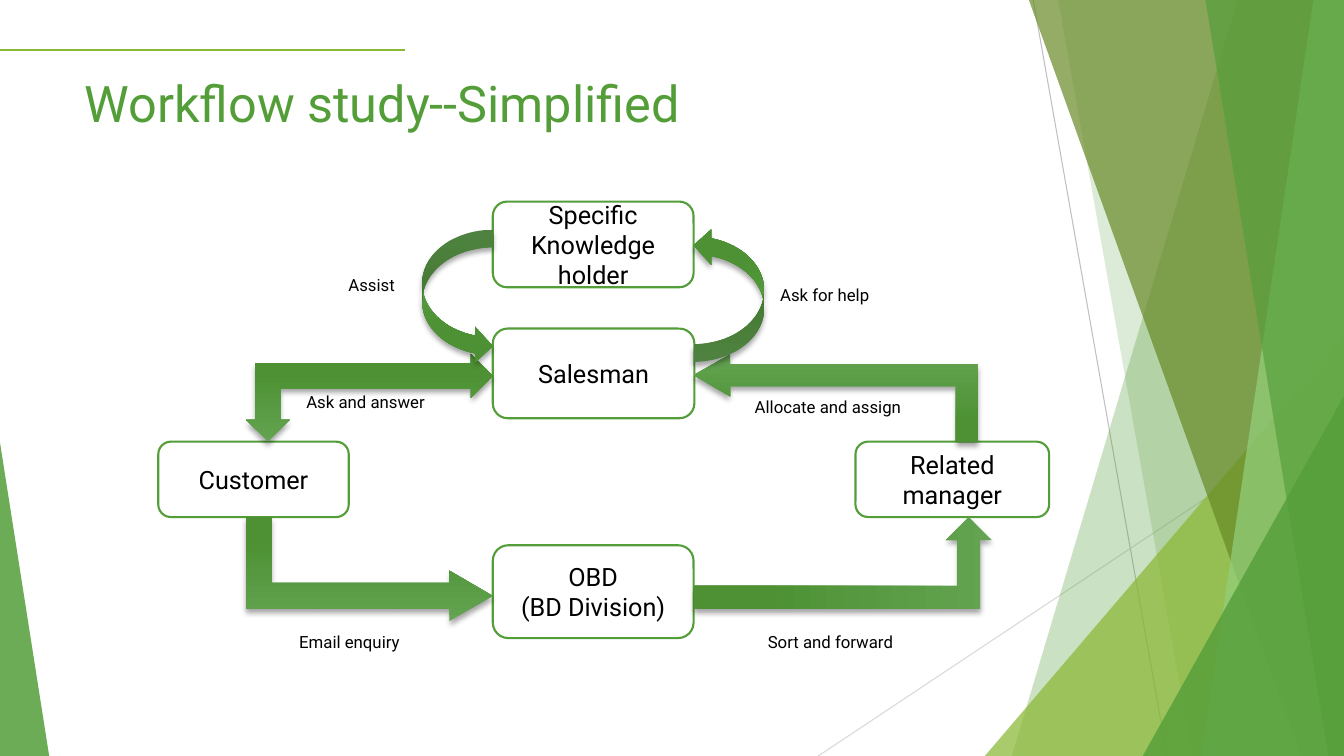
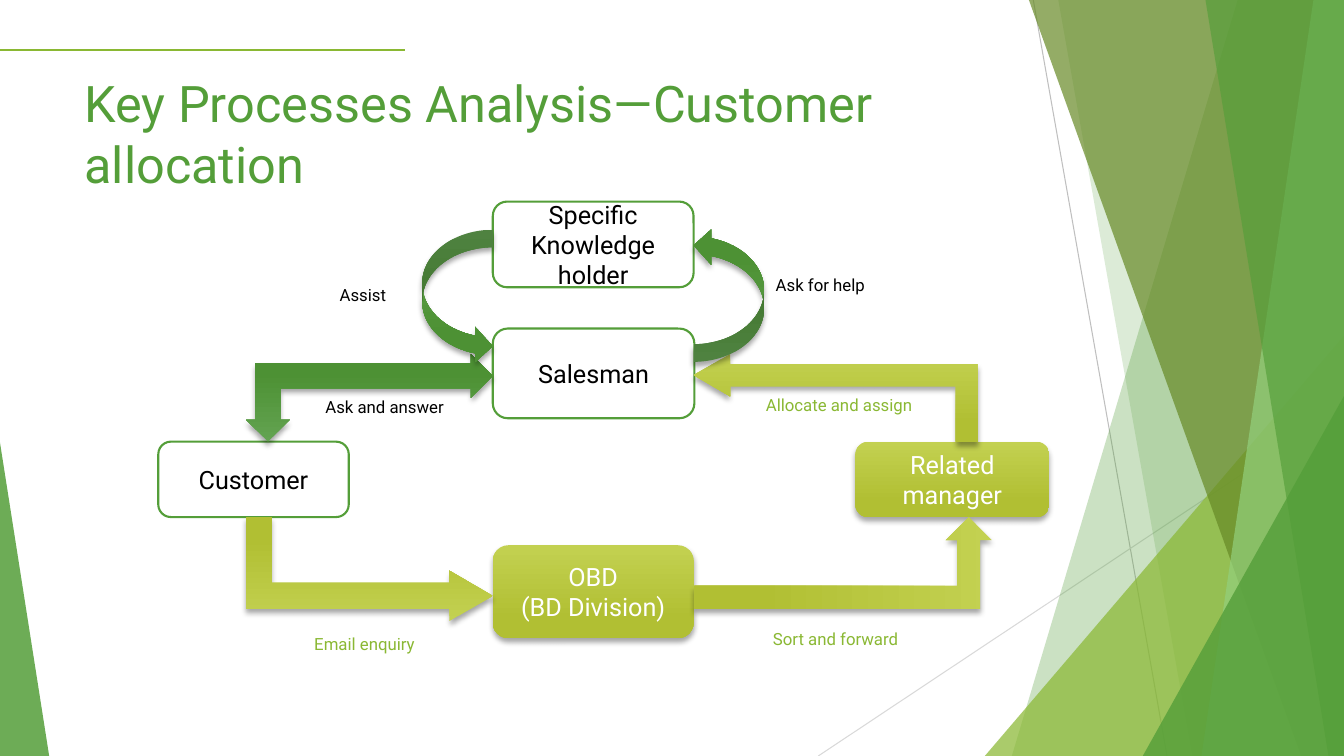
from dataclasses import dataclass

from lxml.etree import SubElement
from pptx import Presentation
from pptx.dml.color import RGBColor
from pptx.enum.shapes import MSO_CONNECTOR as Connector, MSO_SHAPE as Preset
from pptx.enum.text import MSO_ANCHOR as Anchor, MSO_AUTO_SIZE as AutoSize, PP_ALIGN as Align
from pptx.oxml.ns import qn
from pptx.util import Cm, Pt


@dataclass(frozen=True)
class Theme:
    font: str = "Roboto"
    title_size: int = 36
    box_size: int = 18
    label_size: int = 12
    green: str = "549E39"
    lime: str = "8AB833"
    olive: str = "678A26"
    mint: str = "93D07D"
    white: str = "FFFFFF"
    black: str = "000000"
    dark_hairline: str = "BFBFBF"
    light_hairline: str = "D9D9D9"
    green_blend: tuple = ("63A351", "4D9134")
    lime_blend: tuple = ("C3D151", "B1BF33")


THEME = Theme()
WIDTH, HEIGHT = 33.87, 19.05  # slide size in cm

# Flowchart content: lengths in cm; the last field marks the allocation path
BOXES = [
    ("Customer", (3.99, 11.13, 4.8, 1.9), False),
    ("Salesman", (12.42, 8.28, 5.08, 2.26), False),
    ("Related manager", (21.56, 11.13, 4.88, 1.9), True),
    ("OBD\n(BD Division)", (12.42, 13.74, 5.06, 2.34), True),
    ("Specific Knowledge holder", (12.42, 5.08, 5.06, 2.16), False),
]
LONG_HEAD = (0.25, 0.242, 0.417, 0)
SHORT_HEAD = (0.25, 0.25, 0.25, 0)
ARROWS = [  # preset, bounds, adjustments, flips, rotation, on allocation path
    (Preset.BENT_ARROW, (6.2, 13.03, 6.22, 2.62), LONG_HEAD, "V", 0, True),
    (Preset.BENT_ARROW, (17.48, 8.92, 7.16, 2.21), LONG_HEAD, "H", 0, True),
    (Preset.BENT_ARROW, (20.09, 10.44, 2.31, 7.49), SHORT_HEAD, "H", 90, True),
    (Preset.LEFT_UP_ARROW, (6.2, 8.92, 6.22, 2.21), (0.288, 0.25, 0.25), "HV", 0, False),
    (Preset.CURVED_LEFT_ARROW, (10.64, 5.79, 1.78, 3.38), (), "H", 0, False),
    (Preset.CURVED_LEFT_ARROW, (17.48, 5.74, 1.78, 3.38), (), "V", 0, False),
]
LABELS = [
    ("Email enquiry", True),
    ("Sort and forward", True),
    ("Allocate and assign", True),
    ("Ask and answer", False),
    ("Ask for help", False),
    ("Assist", False),
]
# Title, label positions in the order of LABELS, highlight the allocation path
SLIDES = [
    ("Workflow study--Simplified",
     [(7.29, 15.8), (19.1, 15.8), (18.77, 9.86), (7.47, 9.75), (19.41, 7.04), (8.53, 6.81)],
     False),
    ("Key Processes Analysis—Customer allocation",
     [(7.67, 15.85), (19.23, 15.72), (19.05, 9.83), (7.95, 9.86), (19.3, 6.81), (8.31, 7.04)],
     True),
]


def rgb(color):
    return RGBColor.from_string(color)


def cms(values):
    return [Cm(value) for value in values]


# Fills and effects
def fill_translucent(shape, color, percent):
    shape.shadow.inherit = False
    shape.line.fill.background()
    shape.fill.solid()
    shape.fill.fore_color.rgb = rgb(color)
    tint = shape.element.spPr.find(qn("a:solidFill")).find(qn("a:srgbClr"))
    SubElement(tint, qn("a:alpha"), val=str(percent * 1000))


def fill_raised(shape, blend):
    """Vertical gradient with a soft shadow below and no outline."""
    shape.line.fill.background()
    shape.fill.gradient()
    shape.fill.gradient_angle = 270
    for stop, color, position in zip(shape.fill.gradient_stops, blend, (0, 0.78)):
        stop.color.rgb = rgb(color)
        stop.position = position
    shape.shadow.inherit = False
    effects = shape.element.spPr.find(qn("a:effectLst"))
    shadow = SubElement(effects, qn("a:outerShdw"), blurRad=str(Pt(4)), dist=str(Pt(3)),
                        dir="5400000", rotWithShape="0")
    tint = SubElement(shadow, qn("a:srgbClr"), val=THEME.black)
    SubElement(tint, qn("a:alpha"), val="35000")


# Elements
def write_text(shape, text, size, color, align=Align.LEFT, anchor=Anchor.TOP):
    frame = shape.text_frame
    frame.word_wrap = True
    frame.vertical_anchor = anchor
    frame.text = text
    for para in frame.paragraphs:
        para.alignment = align
        para.font.name = THEME.font
        para.font.size = Pt(size)
        para.font.color.rgb = rgb(color)


def add_text(page, text, bounds, size, color):
    box = page.shapes.add_textbox(*cms(bounds))
    write_text(box, text, size, color)
    return box


def add_line(page, start, end, color, weight):
    line = page.shapes.add_connector(Connector.STRAIGHT, *cms(start + end))
    line.line.color.rgb = rgb(color)
    line.line.width = Pt(weight)
    SubElement(line.element.spPr, qn("a:effectLst"))


def add_band(page, top_left, bottom_left, color, percent):
    """Full-height band from a slanted left side to the slide's right edge."""
    builder = page.shapes.build_freeform(Cm(top_left), 0)
    corners = [(WIDTH, 0), (WIDTH, HEIGHT), (bottom_left, HEIGHT)]
    builder.add_line_segments([cms(corner) for corner in corners], close=True)
    fill_translucent(builder.convert_to_shape(), color, percent)


def add_corner(page, left, top, width, apex, color, percent):
    """Triangle standing on the bottom edge of the slide."""
    bounds = cms((left, top, width, HEIGHT - top))
    corner = page.shapes.add_shape(Preset.ISOSCELES_TRIANGLE, *bounds)
    corner.adjustments[0] = apex
    fill_translucent(corner, color, percent)


def add_box(page, text, bounds, highlighted):
    box = page.shapes.add_shape(Preset.ROUNDED_RECTANGLE, *cms(bounds))
    if highlighted:
        fill_raised(box, THEME.lime_blend)
    else:
        box.shadow.inherit = False
        box.fill.solid()
        box.fill.fore_color.rgb = rgb(THEME.white)
        box.line.color.rgb = rgb(THEME.green)
        box.line.width = Pt(1.5)
    color = THEME.white if highlighted else THEME.black
    write_text(box, text, THEME.box_size, color, Align.CENTER, Anchor.MIDDLE)


def add_arrow(page, preset, bounds, adjustments, flips, rotation, highlighted):
    arrow = page.shapes.add_shape(preset, *cms(bounds))
    for index, value in enumerate(adjustments):
        arrow.adjustments[index] = value
    arrow.rotation = rotation
    for axis in flips:
        arrow.element.spPr.find(qn("a:xfrm")).set("flip" + axis, "1")
    fill_raised(arrow, THEME.lime_blend if highlighted else THEME.green_blend)


def add_label(page, text, spot, highlighted):
    color = THEME.lime if highlighted else THEME.black
    label = add_text(page, text, spot + (5.6, 0.77), THEME.label_size, color)
    label.text_frame.auto_size = AutoSize.SHAPE_TO_FIT_TEXT


# Parts of a slide
def add_backdrop(page):
    add_line(page, (26.04, 0), (29.41, HEIGHT), THEME.dark_hairline, 0.75)
    add_line(page, (WIDTH, 10.24), (20.62, HEIGHT), THEME.light_hairline, 0.75)
    add_band(page, 31.19, 25.5, THEME.green, 30)
    add_band(page, 26.67, 30.05, THEME.green, 20)
    add_corner(page, 24.82, 8.46, WIDTH - 24.82, 1, THEME.lime, 72)
    add_band(page, 25.93, 32.79, THEME.olive, 70)
    add_band(page, 33.1, 30.28, THEME.mint, 70)
    add_band(page, 30.38, 33.48, THEME.green, 65)
    add_corner(page, 28.8, 9.98, WIDTH - 28.8, 1, THEME.green, 80)
    add_corner(page, 0, 11.15, 1.24, 0, THEME.green, 85)


def add_header(page, title):
    add_text(page, title, (1.88, 1.7, 23.88, 3.66), THEME.title_size, THEME.green)
    add_line(page, (0, 1.27), (10.21, 1.27), THEME.lime, 1.5)


def add_flowchart(page, label_spots, highlight):
    for text, bounds, on_path in BOXES:
        add_box(page, text, bounds, highlight and on_path)
    for *geometry, on_path in ARROWS:
        add_arrow(page, *geometry, highlight and on_path)
    for (text, on_path), spot in zip(LABELS, label_spots):
        add_label(page, text, spot, highlight and on_path)


def main():
    deck = Presentation()
    deck.slide_width, deck.slide_height = cms((WIDTH, HEIGHT))
    blank = deck.slide_layouts[6]
    for title, label_spots, highlight in SLIDES:
        page = deck.slides.add_slide(blank)
        add_backdrop(page)
        add_header(page, title)
        add_flowchart(page, label_spots, highlight)
    deck.save("out.pptx")


if __name__ == "__main__":
    main()
